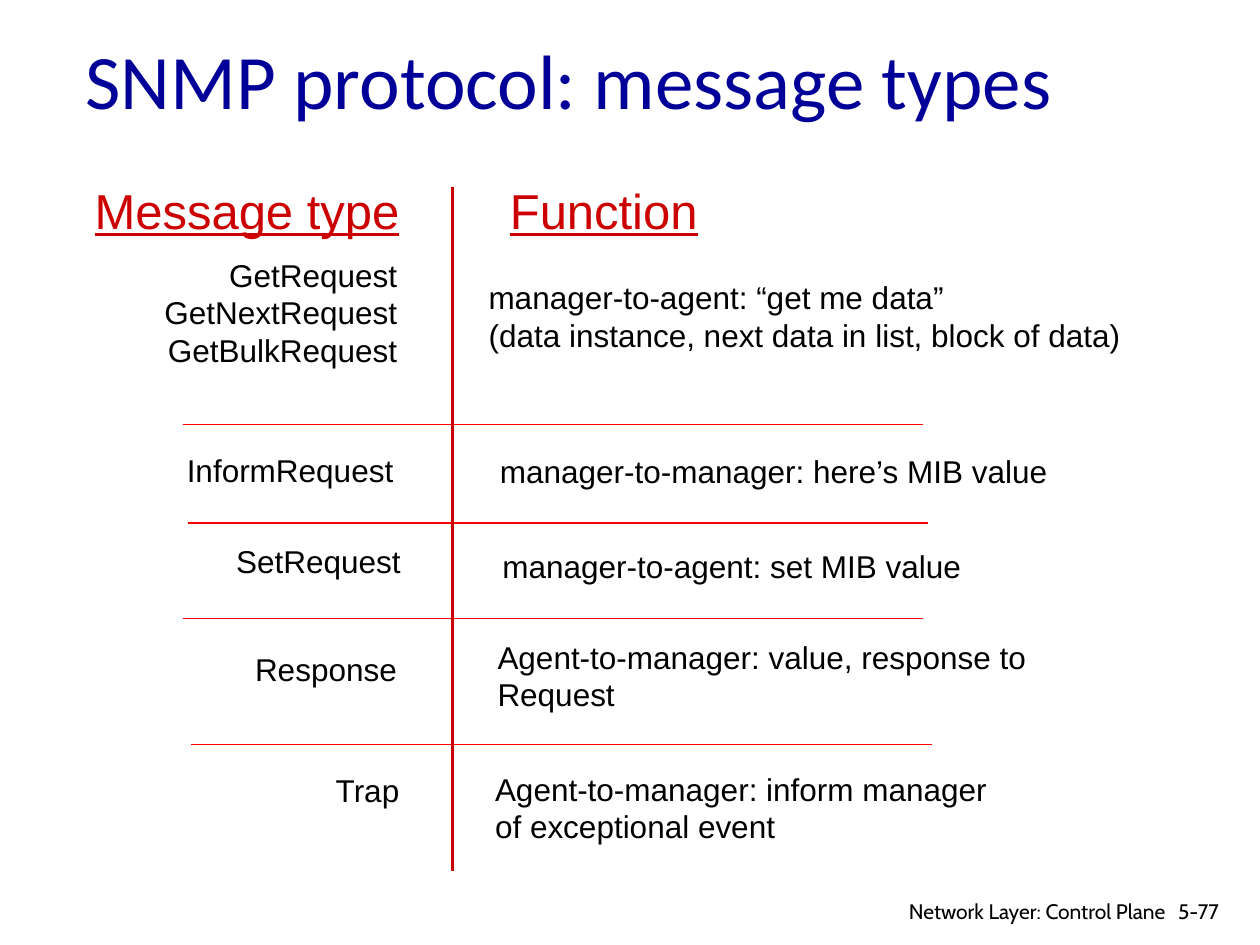
"""Build a slide that lists the SNMP message types and what each one does."""
import pptx
import pptx.dml.color
import pptx.enum.shapes
import pptx.enum.text
import pptx.oxml.ns
import pptx.util

Cm = pptx.util.Cm
Pt = pptx.util.Pt
Align = pptx.enum.text.PP_ALIGN
Anchor = pptx.enum.text.MSO_ANCHOR

THEME = {
    "title": {"font": "Calibri", "size": 44, "color": "000099"},
    "head": {"font": "Arial", "size": 28, "color": "CC0000", "under": True},
    "body": {"font": "Arial", "size": 18, "color": "000000"},
    "foot": {"font": "Cabin", "size": 12, "color": "000000"},
    "rule": {"color": "FF0000", "width": 1},
    "axis": {"color": "CC0000", "width": 2},
}

TITLE = ("SNMP protocol: message types", (1.47, 0, 21.59, 3.18))
HEADS = [
    ("Message type", (1.57, 3.51, 6.73, 1.45), Align.RIGHT),
    ("Function", (10.03, 3.51, 4.34, 1.45), Align.LEFT),
]
GETS = [
    (["GetRequest", "GetNextRequest", "GetBulkRequest"],
     (1.4, 5.03, 6.86, 3.33), Align.RIGHT),
    (["manager-to-agent: “get me data”",
      "(data instance, next data in list, block of data)"],
     (9.6, 5.49, 13.39, 1.8), Align.LEFT),
]
ROWS = [
    ("InformRequest", (1.02, 8.97),
     ["manager-to-manager: here’s MIB value"], (9.83, 8.99, 12.52)),
    ("SetRequest", (1.17, 10.8),
     ["manager-to-agent: set MIB value"], (9.88, 10.9, 11.86)),
    ("Response", (1.09, 12.98),
     ["Agent-to-manager: value, response to", "Request"], (9.78, 12.73, 11.76)),
    ("Trap", (1.14, 15.42),
     ["Agent-to-manager: inform manager", "of exceptional event"],
     (9.73, 15.39, 13.31)),
]
RULES = [(3.68, 8.56), (3.78, 10.54), (3.68, 12.47), (3.86, 15.01)]
FEET = [
    ("5-77", (23.5, 17.98, 1.52, 0.76), Align.LEFT),
    ("Network Layer: Control Plane", (17.7, 17.98, 6.05, 0.66), Align.RIGHT),
]
SPAN = 14.93
AXIS = (9.12, 3.76, 9.12, 17.55)
TYPE = (7.16, 1.27)
PAD, LEAD = 0.25, 0.77


def tint(code):
    return pptx.dml.color.RGBColor.from_string(code)


def write(slide, text, place, style, align=Align.LEFT, wrap=True,
          shape=None, anchor=Anchor.TOP):
    look = THEME[style]
    area = [Cm(n) for n in place]
    if shape is None:
        shape = slide.shapes.add_textbox(*area)
    shape.left, shape.top, shape.width, shape.height = area
    frame = shape.text_frame
    frame.word_wrap = wrap
    frame.vertical_anchor = anchor
    frame.text = text if isinstance(text, str) else "\n".join(text)
    for para in frame.paragraphs:
        para.alignment = align
        for run in para.runs:
            font = run.font
            font.name = look["font"]
            font.size = Pt(look["size"])
            font.color.rgb = tint(look["color"])
            font.underline = look.get("under", False)


def draw(slide, ends, style):
    kind = pptx.enum.shapes.MSO_CONNECTOR.STRAIGHT
    line = slide.shapes.add_connector(kind, *[Cm(n) for n in ends])
    line.line.color.rgb = tint(THEME[style]["color"])
    line.line.width = Pt(THEME[style]["width"])
    props = line._element.spPr
    props.append(props.makeelement(pptx.oxml.ns.qn("a:effectLst"), {}))


def main():
    deck = pptx.Presentation()
    deck.slide_width, deck.slide_height = Cm(25.4), Cm(19.05)
    slide = deck.slides.add_slide(deck.slide_layouts[5])

    write(slide, *TITLE, "title", shape=slide.shapes.title,
          anchor=Anchor.MIDDLE)
    for style, items in (("body", GETS), ("head", HEADS)):
        for text, place, align in items:
            write(slide, text, place, style, align=align, wrap=False)

    for (name, spot, lines, field), (left, top) in zip(ROWS, RULES):
        draw(slide, (left, top, left + SPAN, top), "rule")
        write(slide, name, spot + TYPE, "body", align=Align.RIGHT)
        tall = PAD + LEAD * len(lines)
        write(slide, lines, field + (tall,), "body")
    draw(slide, AXIS, "axis")

    for text, place, align in FEET:
        write(slide, text, place, "foot", align=align)
    deck.save("out.pptx")


if __name__ == "__main__":
    main()
